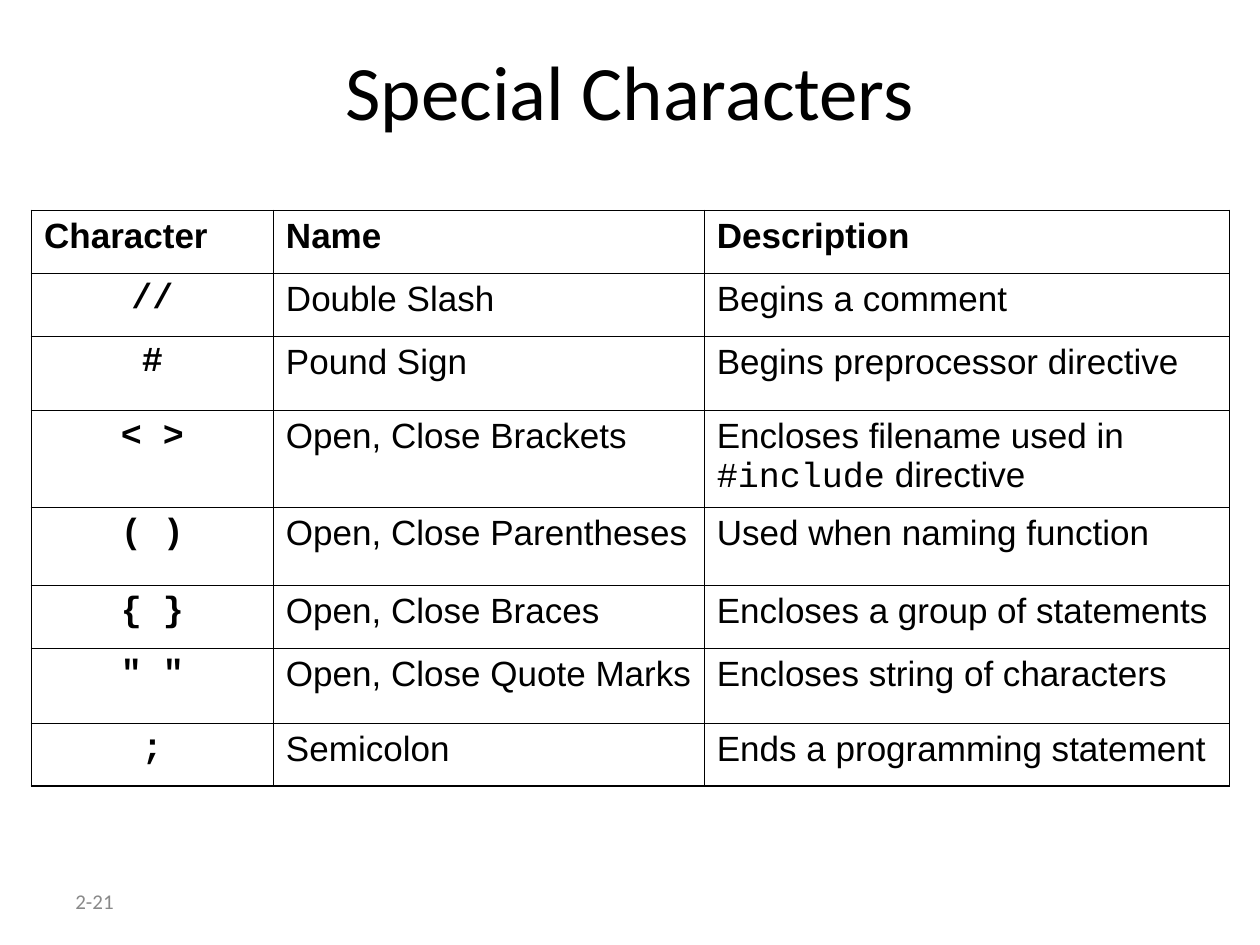
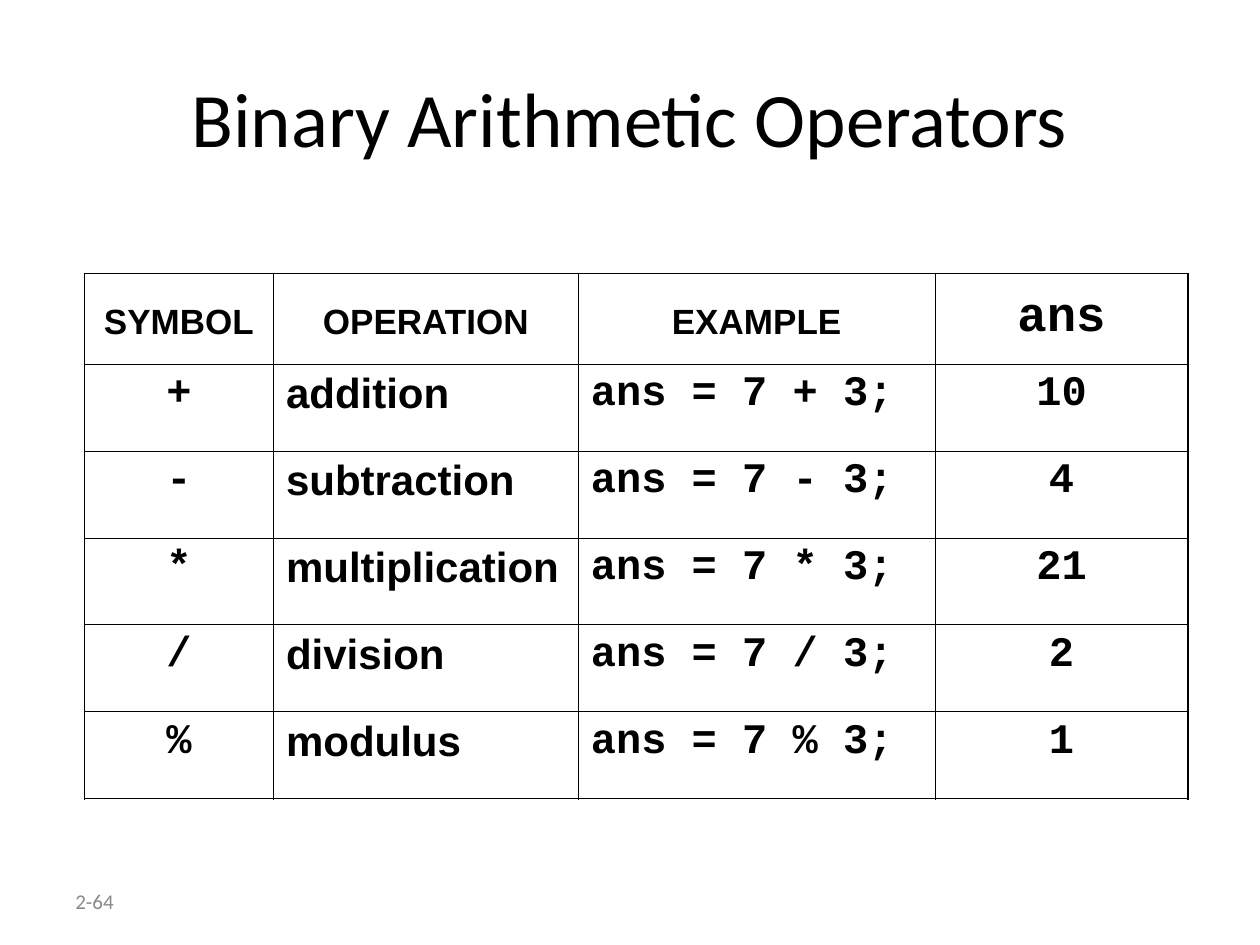
import dataclasses

import pptx
import pptx.dml.color
import pptx.enum.text
import pptx.oxml.ns
import pptx.util
from lxml import etree

Inches, Pt = pptx.util.Inches, pptx.util.Pt
ALIGN = pptx.enum.text.PP_ALIGN
MIDDLE = pptx.enum.text.MSO_ANCHOR.MIDDLE

# Shared look
BLACK, GREY = "000000", "898989"
HEADING, SANS, MONO = "Calibri", "Arial", "Courier New"
OUTER, INNER = 1.08, 0.45


@dataclasses.dataclass
class Style:
    font: str
    size: float
    bold: bool = False
    align: object = ALIGN.LEFT
    before: float = 0
    spacing: float = 1.0
    color: str = BLACK


TITLE = Style(HEADING, 44, align=ALIGN.CENTER)
FOOTER = Style(HEADING, 12, color=GREY)


def rgb(value):
    return pptx.dml.color.RGBColor.from_string(value)


def write(para, text, style):
    """Write one paragraph; parts between backticks are set as code."""
    para.alignment = style.align
    para.space_before = Pt(style.before)
    para.line_spacing = style.spacing
    for index, part in enumerate(text.split("`")):
        span = para.add_run()
        span.text = part
        span.font.name = MONO if index % 2 else style.font
        span.font.size = Pt(style.size)
        span.font.bold = style.bold
        span.font.color.rgb = rgb(style.color)


def add_text(page, text, style, left, top, width, height):
    box = page.shapes.add_textbox(Inches(left), Inches(top), Inches(width), Inches(height))
    frame = box.text_frame
    frame.word_wrap = True
    frame.vertical_anchor = MIDDLE
    write(frame.paragraphs[0], text, style)


def add_border(cell, side, width):
    properties = cell._tc.get_or_add_tcPr()
    line = etree.SubElement(properties, pptx.oxml.ns.qn("a:ln" + side), w=str(Pt(width)))
    fill = etree.SubElement(line, pptx.oxml.ns.qn("a:solidFill"))
    etree.SubElement(fill, pptx.oxml.ns.qn("a:srgbClr"), val=BLACK)


def add_grid(page, left, top, widths, heights, rows, head_styles, body_styles):
    """Table with a heavier outer frame; styles are given per column."""
    table = page.shapes.add_table(
        len(rows), len(widths), Inches(left), Inches(top),
        Inches(sum(widths)), Inches(sum(heights))).table
    table.first_row = table.horz_banding = False
    for column, width in zip(table.columns, widths):
        column.width = Inches(width)
    for row, height in zip(table.rows, heights):
        row.height = Inches(height)

    last_row, last_column = len(rows) - 1, len(widths) - 1
    for r, texts in enumerate(rows):
        styles = body_styles if r else head_styles
        for c, (text, style) in enumerate(zip(texts, styles)):
            cell = table.cell(r, c)
            write(cell.text_frame.paragraphs[0], text, style)
            edges = {"L": c == 0, "R": c == last_column, "T": r == 0, "B": r == last_row}
            for side, is_outer in edges.items():
                add_border(cell, side, OUTER if is_outer else INNER)
            cell.fill.background()


def add_page(deck, title, title_area, number):
    page = deck.slides.add_slide(deck.slide_layouts[6])
    add_text(page, title, TITLE, *title_area)
    add_text(page, number, FOOTER, 0.5, 6.95, 2.33, 0.4)
    return page


def special_characters(deck):
    page = add_page(deck, "Special Characters", (0.75, 0.25, 8.5, 0.92), "2-21")
    head = Style(SANS, 20, bold=True, before=5)
    symbol = Style(MONO, 20, bold=True, align=ALIGN.CENTER, before=5)
    body = Style(SANS, 20, before=5)
    rows = [
        ("Character", "Name", "Description"),
        ("//", "Double Slash", "Begins a comment"),
        ("#", "Pound Sign", "Begins preprocessor directive"),
        ("< >", "Open, Close Brackets", "Encloses filename used in `#include` directive"),
        ("( )", "Open, Close Parentheses", "Used when naming function"),
        ("{ }", "Open, Close Braces", "Encloses a group of statements"),
        ('" "', "Open, Close Quote Marks", "Encloses string of characters"),
        (";", "Semicolon", "Ends a programming statement"),
    ]
    add_grid(page, 0.25, 1.67, [1.92, 3.42, 4.17],
             [0.5, 0.5, 0.59, 0.77, 0.62, 0.5, 0.59, 0.5],
             rows, [head] * 3, [symbol, body, body])


def arithmetic_operators(deck):
    page = add_page(deck, "Binary Arithmetic Operators", (0.5, 0.3, 9, 1.25), "2-64")
    head = Style(SANS, 20, bold=True, align=ALIGN.CENTER, before=5, spacing=1.6)
    answer_head = Style(MONO, 28, bold=True, align=ALIGN.CENTER, before=7, spacing=1.2)
    centred = Style(MONO, 24, bold=True, align=ALIGN.CENTER, before=6)
    name = Style(SANS, 24, bold=True, before=6)
    code = Style(MONO, 24, bold=True, before=6)
    operators = [("+", "addition", "10"), ("-", "subtraction", "4"),
                 ("*", "multiplication", "21"), ("/", "division", "2"),
                 ("%", "modulus", "1")]
    rows = [("SYMBOL", "OPERATION", "EXAMPLE", "ans")]
    rows += [(sign, operation, f"ans = 7 {sign} 3;", answer)
             for sign, operation, answer in operators]
    add_grid(page, 0.67, 2.17, [1.5, 2.42, 2.83, 2.01],
             [0.72] + [0.69] * len(operators), rows,
             [head] * 3 + [answer_head], [centred, name, code, centred])


def main():
    deck = pptx.Presentation()
    deck.slide_width, deck.slide_height = Inches(10), Inches(7.5)
    special_characters(deck)
    arithmetic_operators(deck)
    deck.save("out.pptx")


main()
